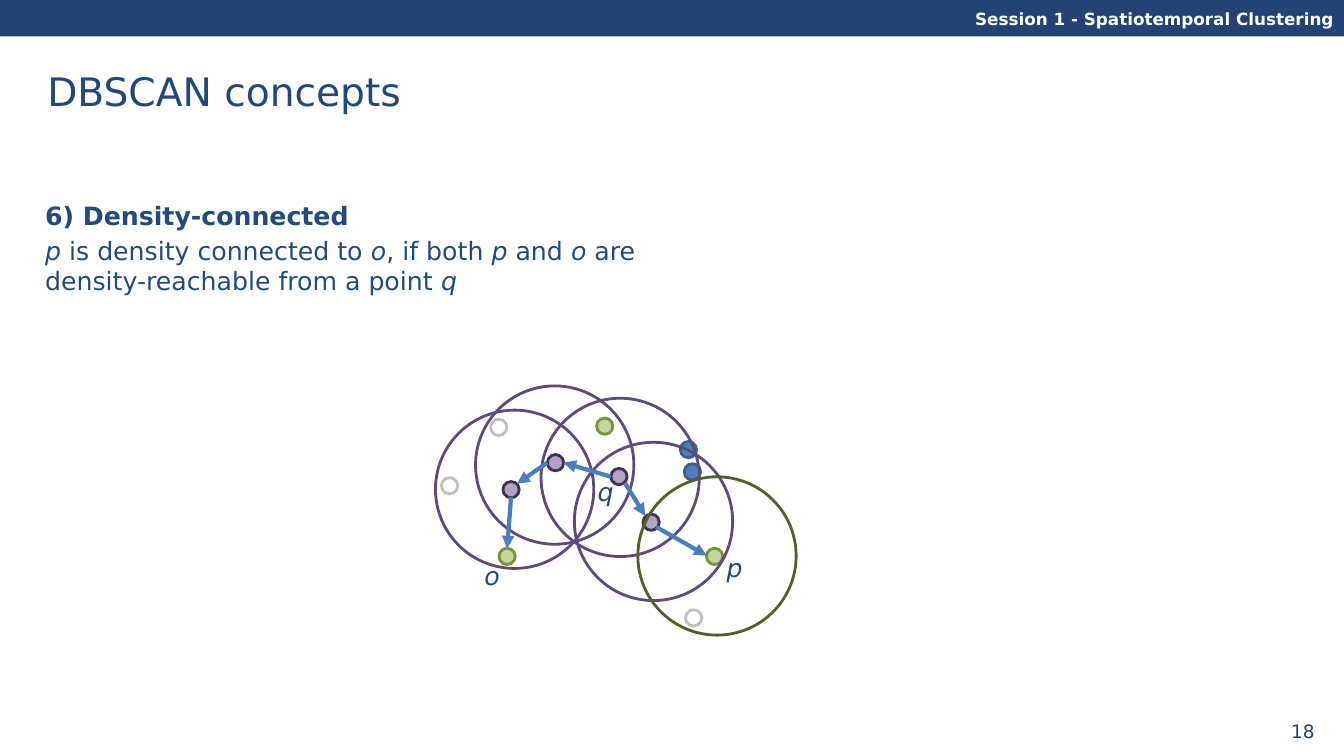
import pptx
import pptx.dml.color
import pptx.enum.shapes
import pptx.enum.text
import pptx.oxml.ns
import pptx.util
from lxml import etree

Cm, Pt = pptx.util.Cm, pptx.util.Pt
RGB = pptx.dml.color.RGBColor.from_string
SHAPE = pptx.enum.shapes.MSO_SHAPE
ALIGN = pptx.enum.text.PP_ALIGN
qn = pptx.oxml.ns.qn

FONT = "DejaVu Sans"
COLORS = {
    "bar": "224374", "title": "1F497D", "text": "214B7E", "white": "FFFFFF",
    "arrow": "4B7EBC", "core_fill": "B3A2C7", "core_line": "403152",
    "border_fill": "C3D69B", "border_line": "77933C",
    "other_fill": "4F81BD", "other_line": "3A5F8C", "noise_line": "BFBFBF",
    "core_area": "604A7B", "border_area": "4F6228",
}
POINT_SIZE, AREA_SIZE = 0.41, 3.99

prs = pptx.Presentation()
prs.slide_width, prs.slide_height = Cm(33.87), Cm(19.05)
slide = prs.slides.add_slide(prs.slide_layouts[5])
shapes = slide.shapes


def add_text(box, paragraphs, size, color, align=ALIGN.LEFT, wrap=True):
    """Add a text box; each paragraph is a list of (text, style), style being "", "b" or "i"."""
    tf = shapes.add_textbox(*[Cm(v) for v in box]).text_frame
    tf.word_wrap = wrap
    for i, runs in enumerate(paragraphs):
        p = tf.paragraphs[0] if i == 0 else tf.add_paragraph()
        p.alignment = align
        p.space_after = Pt(3)
        for text, style in runs:
            r = p.add_run()
            r.text = text
            r.font.name, r.font.size = FONT, Pt(size)
            r.font.bold, r.font.italic = style == "b", style == "i"
            r.font.color.rgb = RGB(COLORS[color])
    return tf


def add_circle(center, size, line, fill=None):
    x, y = center
    sp = shapes.add_shape(SHAPE.OVAL, Cm(x - size / 2), Cm(y - size / 2), Cm(size), Cm(size))
    sp.shadow.inherit = False
    sp.line.color.rgb = RGB(COLORS[line])
    sp.line.width = Pt(2)
    if fill:
        sp.fill.solid()
        sp.fill.fore_color.rgb = RGB(COLORS[fill])
    else:
        sp.fill.background()


# Header bar, session name and page number
bar = shapes.add_shape(SHAPE.RECTANGLE, 0, 0, prs.slide_width, Cm(0.92))
bar.shadow.inherit = False
bar.fill.solid()
bar.fill.fore_color.rgb = RGB(COLORS["bar"])
bar.line.fill.background()
header = add_text((8.47, 0.03, 25.4, 0.84), [[("Session 1 - Spatiotemporal Clustering", "b")]],
                  12, "white", ALIGN.RIGHT)
header.margin_top = Cm(0.2)
add_text((30.99, 18.03, 2.39, 0.81), [[("18", "")]], 13.2, "bar", ALIGN.RIGHT)

# Title
title = shapes.title
title.left, title.top, title.width, title.height = Cm(0.94), Cm(1.5), Cm(29.21), Cm(1.57)
tf = title.text_frame
tf.text = "DBSCAN concepts"
tf.auto_size = pptx.enum.text.MSO_AUTO_SIZE.NONE
tf.vertical_anchor = pptx.enum.text.MSO_ANCHOR.MIDDLE
p = tf.paragraphs[0]
p.alignment = ALIGN.LEFT
font = p.runs[0].font
font.name, font.size = FONT, Pt(28)
font.color.rgb = RGB(COLORS["title"])

# Definition
add_text((0.89, 4.93, 15.77, 2.67), [
    [("6) Density-connected", "b")],
    [("p ", "i"), ("is density connected to ", ""), ("o", "i"), (", if both ", ""),
     ("p ", "i"), ("and ", ""), ("o ", "i"),
     ("are density-reachable from a point ", ""), ("q", "i")],
], 18, "text")

# Data points by kind, given by their centres
points = [
    ("core_line", "core_fill", [(12.88, 12.34), (14, 11.66), (15.6, 12.01), (16.41, 13.16)]),
    ("border_line", "border_fill", [(12.78, 14.02), (15.24, 10.74), (18.01, 14.02)]),
    ("other_line", "other_fill", [(17.45, 11.89), (17.35, 11.33)]),
    ("noise_line", None, [(12.57, 10.77), (11.33, 12.24), (17.48, 15.57)]),
]
for line, fill, centers in points:
    for center in centers:
        add_circle(center, POINT_SIZE, line, fill)

# Neighbourhoods
for center in [(15.63, 12.03), (16.47, 13.14), (13.98, 11.72), (12.97, 12.33)]:
    add_circle(center, AREA_SIZE, "core_area")
add_circle((18.07, 14.01), AREA_SIZE, "border_area")

# Chains of reachability from q to p and from q to o
arrows = [
    (15.75, 12.17, 16.26, 13), (16.54, 13.28, 17.81, 14),
    (15.39, 12.01, 14.2, 11.66), (13.79, 11.66, 13.03, 12.19), (12.88, 12.52, 12.78, 13.82),
]
for ends in arrows:
    arrow = shapes.add_connector(pptx.enum.shapes.MSO_CONNECTOR.STRAIGHT, *[Cm(v) for v in ends])
    arrow.line.color.rgb = RGB(COLORS["arrow"])
    arrow.line.width = Pt(3)
    etree.SubElement(arrow.line._get_or_add_ln(), qn("a:tailEnd"), type="triangle")
    etree.SubElement(arrow._element.spPr, qn("a:effectLst"))

# Point names
for name, x, y in [("p", 18.06, 13.79), ("q", 14.81, 11.89), ("o", 11.96, 14)]:
    add_text((x, y, 0.91, 1.02), [[(name, "i")]], 18, "text", wrap=False)

prs.save("out.pptx")
